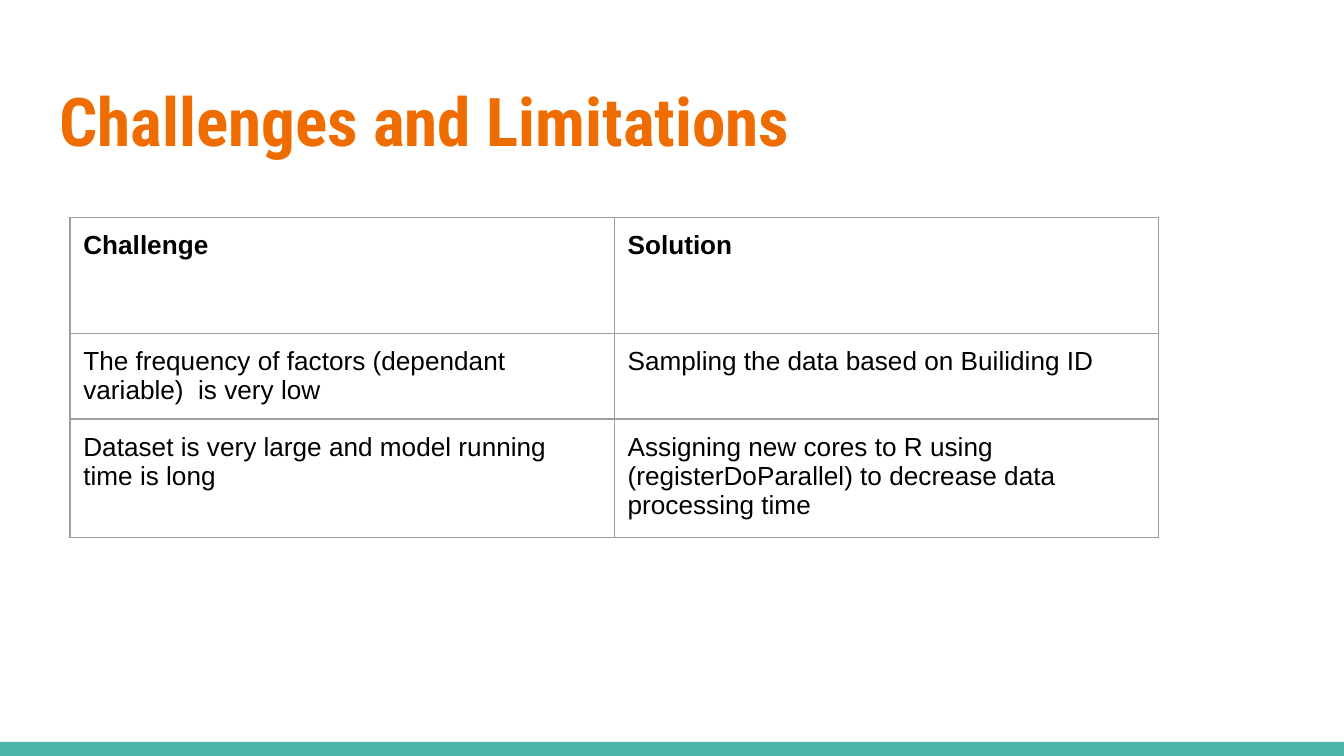
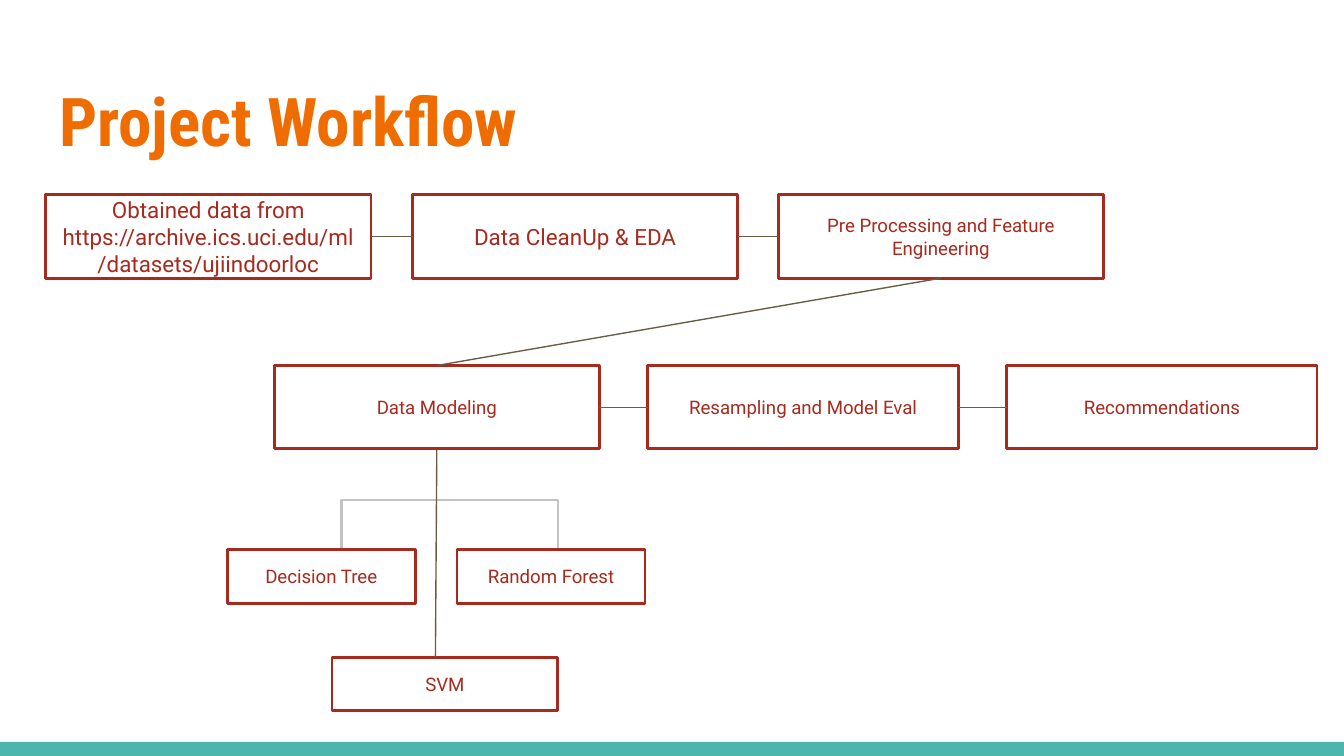
import pptx
import pptx.dml.color
import pptx.enum.shapes
import pptx.enum.text
import pptx.oxml
import pptx.oxml.ns
import pptx.util
from pptx.util import Inches

ORANGE, TEAL, RED = "EF6C00", "4DB6AC", "A72A1E"
BROWN, LIGHT_GREY, BORDER_GREY, BLACK = "695D46", "C2C2C2", "9E9E9E", "000000"
TOP, LEFT, BOTTOM, RIGHT = range(4)  # connection sites of a rectangle


def color(hex_string):
    return pptx.dml.color.RGBColor.from_string(hex_string)


def add_line(slide, kind, start, end, line_color, width):
    """Add a connector without a shadow; start and end are (x, y) in inches."""
    line = slide.shapes.add_connector(kind, *map(Inches, start + end))
    line.line.color.rgb = color(line_color)
    line.line.width = pptx.util.Pt(width)
    line._element.spPr.append(pptx.oxml.parse_xml(
        f'<a:effectLst {pptx.oxml.ns.nsdecls("a")}/>'))
    return line


presentation = pptx.Presentation()
presentation.slide_width = Inches(10)
presentation.slide_height = Inches(10) * 9 // 16
layout = presentation.slide_layouts.get_by_name("Title Only")

# Titles
slides = []
for title_text in ("Challenges and Limitations", "Project Workflow"):
    slide = presentation.slides.add_slide(layout)
    slides.append(slide)
    title = slide.shapes.title
    title.left, title.top = Inches(0.34), Inches(0.49)
    title.width, title.height = Inches(9.32), Inches(0.77)
    frame = title.text_frame
    frame.text = title_text
    frame.auto_size = pptx.enum.text.MSO_AUTO_SIZE.NONE
    frame.vertical_anchor = pptx.enum.text.MSO_ANCHOR.TOP
    frame.margin_left = frame.margin_right = Inches(0.1)
    frame.margin_top = frame.margin_bottom = Inches(0.1)
    paragraph = frame.paragraphs[0]
    paragraph.alignment = pptx.enum.text.PP_ALIGN.LEFT
    paragraph.font.name = "Roboto Condensed"
    paragraph.font.size = pptx.util.Pt(36)
    paragraph.font.bold = True
    paragraph.font.color.rgb = color(ORANGE)
challenges_slide, workflow_slide = slides

# Bottom band, moved to the layout so that both slides share it
band = challenges_slide.shapes.add_shape(
    pptx.enum.shapes.MSO_SHAPE.RECTANGLE, 0, Inches(5.52), Inches(10), Inches(0.11))
band.shadow.inherit = False
band.fill.solid()
band.fill.fore_color.rgb = color(TEAL)
band.line.fill.background()
layout.shapes._spTree.append(band._element)

# Challenges and solutions
table_rows = [
    (0.86, "Challenge", "Solution"),
    (0.57, "The frequency of factors (dependant variable)  is very low",
     "Sampling the data based on Builiding ID"),
    (0.88, "Dataset is very large and model running time is long",
     "Assigning new cores to R using (registerDoParallel) to decrease data processing time"),
]
table = challenges_slide.shapes.add_table(
    len(table_rows), 2, Inches(0.52), Inches(1.62), Inches(8.1), Inches(2.31)).table
table.horz_banding = False
for row_index, (height, *texts) in enumerate(table_rows):
    table.rows[row_index].height = Inches(height)
    for column_index, text in enumerate(texts):
        cell = table.cell(row_index, column_index)
        cell.text = text
        cell.fill.background()
        cell.margin_left = cell.margin_right = Inches(0.1)
        cell.margin_top = cell.margin_bottom = Inches(0.1)
        font = cell.text_frame.paragraphs[0].font
        font.name = "Arial"
        font.size = pptx.util.Pt(14)
        font.bold = row_index == 0
        font.color.rgb = color(BLACK)
        for position, edge in enumerate(("lnL", "lnR", "lnT", "lnB")):
            cell._tc.tcPr.insert(position, pptx.oxml.parse_xml(
                f'<a:{edge} {pptx.oxml.ns.nsdecls("a")} w="{pptx.util.Pt(0.75)}">'
                f'<a:solidFill><a:srgbClr val="{BORDER_GREY}"/></a:solidFill></a:{edge}>'))

# Bracket from the modeling step to its two upper models
STRAIGHT = pptx.enum.shapes.MSO_CONNECTOR.STRAIGHT
ELBOW = pptx.enum.shapes.MSO_CONNECTOR.ELBOW
for start, end, bend in [((3.19, 3.72), (4.1, 4.09), 105700),
                         ((2.32, 4.09), (3.6, 3.72), 17300)]:
    elbow = add_line(workflow_slide, ELBOW, start, end, LIGHT_GREY, 1.5)
    guides = elbow._element.spPr.prstGeom.get_or_add_avLst()
    guides.append(pptx.oxml.parse_xml(
        f'<a:gd {pptx.oxml.ns.nsdecls("a")} name="adj1" fmla="val {bend}"/>'))

# Workflow steps: left, top, width, height, font size, text
steps = [
    (0.34, 1.45, 2.42, 0.62, 12,
     "Obtained data from https://archive.ics.uci.edu/ml/datasets/ujiindoorloc"),
    (3.07, 1.45, 2.42, 0.62, 12, "Data CleanUp & EDA"),
    (5.79, 1.45, 2.42, 0.62, 10, "Pre Processing and Feature Engineering"),
    (2.04, 2.72, 2.42, 0.62, 10, "Data Modeling"),
    (4.82, 2.72, 2.31, 0.62, 10, "Resampling and Model Eval"),
    (7.49, 2.72, 2.31, 0.62, 10, "Recommendations"),
    (1.69, 4.09, 1.4, 0.4, 10, "Decision Tree"),
    (3.4, 4.09, 1.4, 0.4, 10, "Random Forest"),
    (2.47, 4.89, 1.68, 0.4, 10, "SVM"),
]
boxes = []
for *bounds, size, text in steps:
    box = workflow_slide.shapes.add_shape(
        pptx.enum.shapes.MSO_SHAPE.RECTANGLE, *map(Inches, bounds))
    box.shadow.inherit = False
    box.fill.background()
    box.line.color.rgb = color(RED)
    box.line.width = pptx.util.Pt(1.5)
    frame = box.text_frame
    frame.text = text
    frame.word_wrap = True
    frame.vertical_anchor = pptx.enum.text.MSO_ANCHOR.MIDDLE
    frame.margin_left = frame.margin_right = Inches(0.1)
    frame.margin_top = frame.margin_bottom = Inches(0.1)
    paragraph = frame.paragraphs[0]
    paragraph.alignment = pptx.enum.text.PP_ALIGN.CENTER
    paragraph.font.name = "Roboto"
    paragraph.font.size = pptx.util.Pt(size)
    paragraph.font.color.rgb = color(RED)
    boxes.append(box)

# Links between consecutive steps; the first row leads down to the second
for index, (box, next_box) in enumerate(zip(boxes[:5], boxes[1:6])):
    new_row = index == 2
    link = add_line(workflow_slide, STRAIGHT, (0, 0), (1, 1), BROWN, 0.75)
    link.begin_connect(box, BOTTOM if new_row else RIGHT)
    link.end_connect(next_box, TOP if new_row else LEFT)
add_line(workflow_slide, STRAIGHT, (3.25, 3.35), (3.24, 4.89), BROWN, 0.75)

presentation.save("out.pptx")
